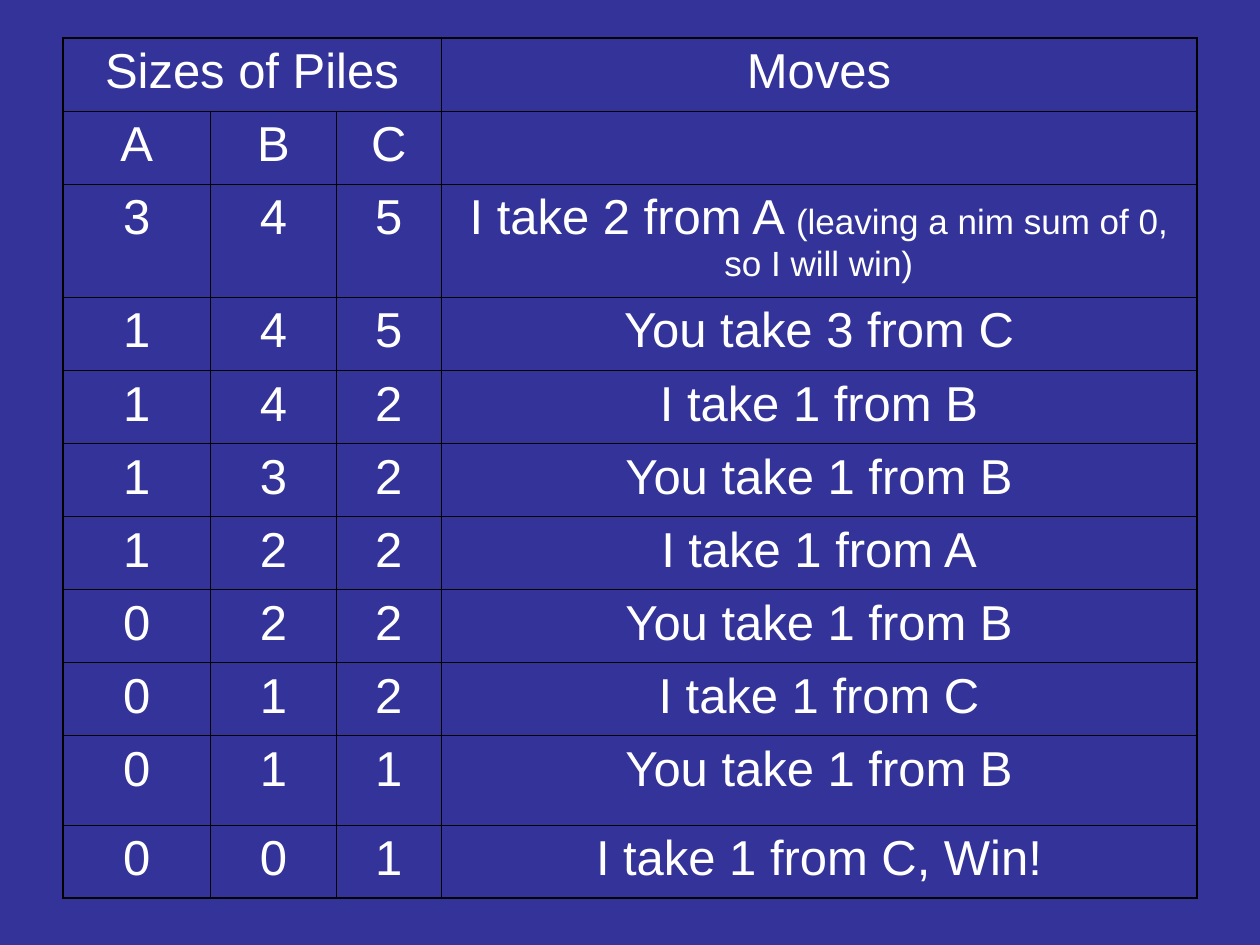
"""Build a slide with a table of the moves in a game of Nim."""
from lxml.etree import SubElement
from pptx import Presentation
from pptx.dml.color import RGBColor
from pptx.enum.text import PP_ALIGN
from pptx.oxml.ns import qn
from pptx.util import Inches, Pt

COLORS = {"background": "333399", "text": "FFFFFF", "border": "000000"}
FONT = "Arial"
SIZE, NOTE_SIZE = 28, 20
OUTER, INNER = 1.08, 0.45
LEFT, TOP = 0.5, 0.3
COL_WIDTHS = [1.17, 1, 0.83, 6]
ROW_HEIGHT = 0.58
TALL_ROWS = {2: 0.9, 9: 0.71}
NOTE = "(leaving a nim sum of 0, so I will win)"
NOTE_CELL = (2, 3)
ROWS = [
    ("Sizes of Piles", "", "", "Moves"),
    ("A", "B", "C", ""),
    ("3", "4", "5", "I take 2 from A "),
    ("1", "4", "5", "You take 3 from C"),
    ("1", "4", "2", "I take 1 from B"),
    ("1", "3", "2", "You take 1 from B"),
    ("1", "2", "2", "I take 1 from A"),
    ("0", "2", "2", "You take 1 from B"),
    ("0", "1", "2", "I take 1 from C"),
    ("0", "1", "1", "You take 1 from B"),
    ("0", "0", "1", "I take 1 from C, Win!"),
]


def add_run(p, text, size):
    r = p.add_run()
    r.text = text
    r.font.size = Pt(size)
    r.font.name = FONT
    r.font.bold = False
    r.font.color.rgb = RGBColor.from_string(COLORS["text"])


def set_borders(cell, widths):
    tc_pr = cell._tc.get_or_add_tcPr()
    for side, width in widths.items():
        ln = SubElement(tc_pr, qn(f"a:ln{side}"), w=str(Pt(width)))
        fill = SubElement(ln, qn("a:solidFill"))
        SubElement(fill, qn("a:srgbClr"), val=COLORS["border"])


def border_widths(row, col):
    on_edge = {
        "L": col == 0,
        "R": col == len(COL_WIDTHS) - 1,
        "T": row == 0,
        "B": row == len(ROWS) - 1,
    }
    return {side: OUTER if edge else INNER for side, edge in on_edge.items()}


def add_moves_table(slide):
    heights = [TALL_ROWS.get(i, ROW_HEIGHT) for i in range(len(ROWS))]
    table = slide.shapes.add_table(
        len(ROWS), len(COL_WIDTHS), Inches(LEFT), Inches(TOP),
        Inches(sum(COL_WIDTHS)), Inches(sum(heights))).table
    table.first_row = table.horz_banding = False
    for column, width in zip(table.columns, COL_WIDTHS):
        column.width = Inches(width)
    for row, height in zip(table.rows, heights):
        row.height = Inches(height)
    table.cell(0, 0).merge(table.cell(0, 2))

    for i, row in enumerate(ROWS):
        for j, text in enumerate(row):
            cell = table.cell(i, j)
            if not cell.is_spanned:
                set_borders(cell, border_widths(i, j))
            cell.fill.background()
            p = cell.text_frame.paragraphs[0]
            p.alignment = PP_ALIGN.CENTER
            if text:
                add_run(p, text, SIZE)
            if (i, j) == NOTE_CELL:
                add_run(p, NOTE, NOTE_SIZE)


def main():
    prs = Presentation()
    prs.slide_width, prs.slide_height = Inches(10), Inches(7.5)
    s = prs.slides.add_slide(prs.slide_layouts[6])
    s.background.fill.solid()
    s.background.fill.fore_color.rgb = RGBColor.from_string(COLORS["background"])
    add_moves_table(s)
    prs.save("out.pptx")


if __name__ == "__main__":
    main()
